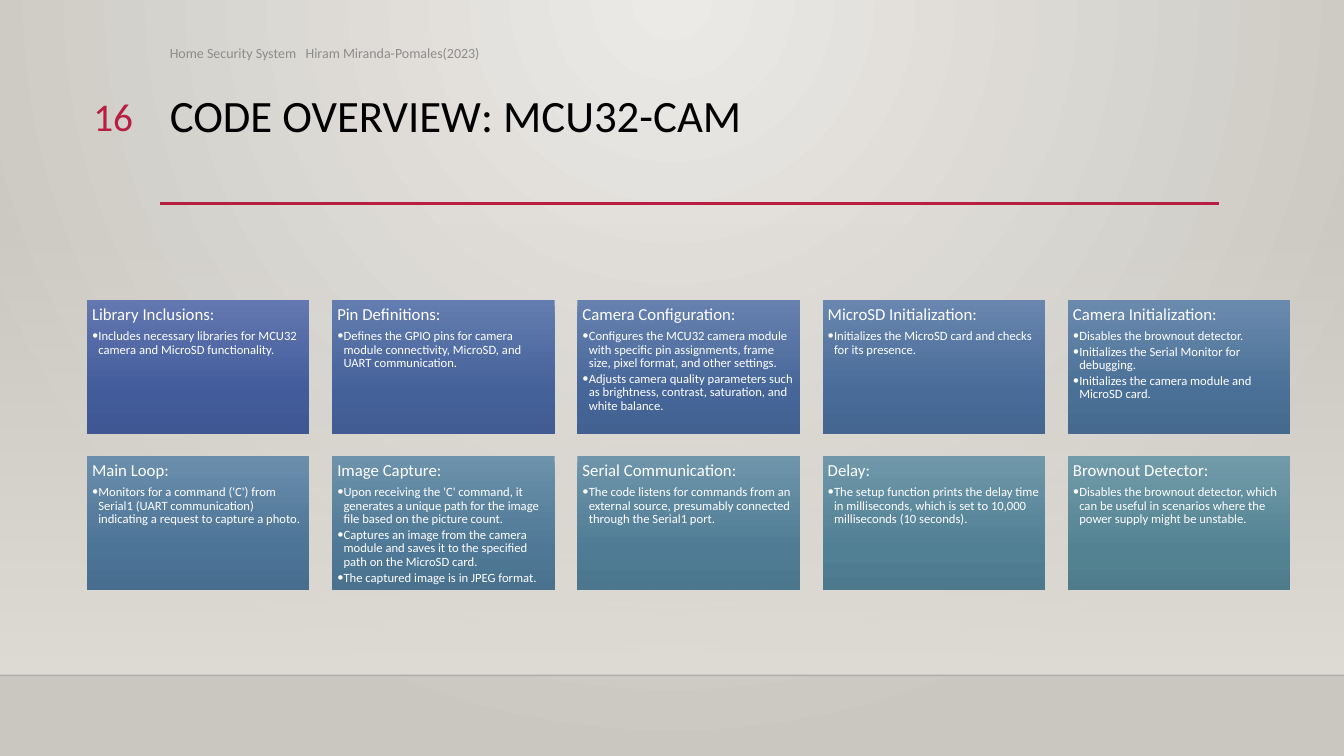
from pptx import Presentation
from pptx import util as u
from pptx.dml import color
from pptx.enum import shapes, text
from pptx.oxml import ns, parse_xml

COLORS = {
    "accent": "B71E42", "title": "000000", "footer": "8C8C8C", "card_text": "FFFFFF",
    "band": "DFDBD5", "floor": "000001", "center": "ECEAE7", "edge": "CAC7C1",
}
FONT = "Calibri"
DOWN = '<a:lin ang="5400000" scaled="0"/>'
RADIAL = ('<a:path path="circle">'
          '<a:fillToRect l="43000" t="0" r="43000" b="100000"/></a:path>')

COLUMNS = 5
CARD_LEFT, CARD_TOP = 2.19, 7.57
CARD_WIDTH, CARD_HEIGHT = 5.61, 3.38
COLUMN_STEP, ROW_STEP = 6.18, 3.93

# Heading, gradient colours from top to bottom, bullets
CARDS = [
    ("Library Inclusions:", ("6378B0", "425B9B", "3F5793"),
     ["Includes necessary libraries for MCU32 camera and MicroSD functionality."]),
    ("Pin Definitions:", ("647DAF", "44619A", "415C92"),
     ["Defines the GPIO pins for camera module connectivity, MicroSD, and UART communication."]),
    ("Camera Configuration:", ("6681AE", "466699", "426191"),
     ["Configures the MCU32 camera module with specific pin assignments, frame size, "
      "pixel format, and other settings.",
      "Adjusts camera quality parameters such as brightness, contrast, saturation, "
      "and white balance."]),
    ("MicroSD Initialization:", ("6886AE", "486B98", "446690"),
     ["Initializes the MicroSD card and checks for its presence."]),
    ("Camera Initialization:", ("6A8AAD", "4A7097", "466A8F"),
     ["Disables the brownout detector.",
      "Initializes the Serial Monitor for debugging.",
      "Initializes the camera module and MicroSD card."]),
    ("Main Loop:", ("6B8EAC", "4C7496", "486E8F"),
     ["Monitors for a command ('C') from Serial1 (UART communication) "
      "indicating a request to capture a photo."]),
    ("Image Capture:", ("6D92AB", "4E7895", "4A728E"),
     ["Upon receiving the 'C' command, it generates a unique path for the image file "
      "based on the picture count.",
      "Captures an image from the camera module and saves it to the specified path "
      "on the MicroSD card.",
      "The captured image is in JPEG format."]),
    ("Serial Communication:", ("6F95AB", "4F7C94", "4B768D"),
     ["The code listens for commands from an external source, presumably connected "
      "through the Serial1 port."]),
    ("Delay:", ("7098AA", "517F93", "4D798C"),
     ["The setup function prints the delay time in milliseconds, which is set to "
      "10,000 milliseconds (10 seconds)."]),
    ("Brownout Detector:", ("729BA9", "538393", "4F7C8B"),
     ["Disables the brownout detector, which can be useful in scenarios where the "
      "power supply might be unstable."]),
]


def apply_format(target, values):
    for name, value in values.items():
        setattr(target, name, value)


def append_xml(parent, xml):
    wrapper = parse_xml(f'<a:wrapper {ns.nsdecls("a")}>{xml}</a:wrapper>')
    for child in list(wrapper):
        parent.append(child)


def set_gradient(fill, owner, stops, direction):
    """Fill with stops of (position in percent, colour, opacity in percent)."""
    fill.gradient()
    gradient = next(owner.iter(ns.qn("a:gradFill")))
    for child in list(gradient):
        gradient.remove(child)
    stop_xml = "".join(
        f'<a:gs pos="{position * 1000}"><a:srgbClr val="{value}">'
        f'<a:alpha val="{opacity * 1000}"/></a:srgbClr></a:gs>'
        for position, value, opacity in stops)
    append_xml(gradient, f"<a:gsLst>{stop_xml}</a:gsLst>{direction}")


def add_gradient_box(slide, left, top, width, height, stops):
    shape = slide.shapes.add_shape(shapes.MSO_SHAPE.RECTANGLE, u.Cm(left), u.Cm(top),
                                   u.Cm(width), u.Cm(height))
    shape.shadow.inherit = False
    shape.line.fill.background()
    set_gradient(shape.fill, shape._element, stops, DOWN)
    return shape


def add_rule(slide, left, right, y, name, weight, opacity=100):
    rule = slide.shapes.add_connector(shapes.MSO_CONNECTOR.STRAIGHT,
                                      u.Cm(left), u.Cm(y), u.Cm(right), u.Cm(y))
    rule.line.color.rgb = color.RGBColor.from_string(COLORS[name])
    rule.line.width = u.Pt(weight)
    line_color = next(rule._element.iter(ns.qn("a:srgbClr")))
    append_xml(line_color, f'<a:alpha val="{opacity * 1000}"/>')
    append_xml(rule._element.spPr, "<a:effectLst/>")


def write_paragraph(paragraph, content, size, name, bullet=False, **layout):
    if bullet:
        properties = paragraph._p.get_or_add_pPr()
        properties.set("marL", str(u.Cm(0.16)))
        properties.set("indent", str(-u.Cm(0.16)))
        append_xml(properties, f'<a:buFont typeface="{FONT}"/><a:buChar char="•"/>')
    paragraph.text = content
    apply_format(paragraph, layout)
    apply_format(paragraph.font, {"name": FONT, "size": u.Pt(size)})
    paragraph.font.color.rgb = color.RGBColor.from_string(COLORS[name])


def add_label(slide, left, top, width, height, content, size, name,
              anchor=text.MSO_ANCHOR.TOP, **layout):
    box = slide.shapes.add_textbox(u.Cm(left), u.Cm(top), u.Cm(width), u.Cm(height))
    apply_format(box.text_frame, {"word_wrap": True, "vertical_anchor": anchor})
    write_paragraph(box.text_frame.paragraphs[0], content, size, name, **layout)


def add_card(slide, index, heading, gradient, bullets):
    row, column = divmod(index, COLUMNS)
    stops = [(position, value, 100) for position, value in zip((0, 69, 100), gradient)]
    card = add_gradient_box(slide, CARD_LEFT + column * COLUMN_STEP, CARD_TOP + row * ROW_STEP,
                            CARD_WIDTH, CARD_HEIGHT, stops)
    frame = card.text_frame
    margins = dict.fromkeys(("margin_left", "margin_top", "margin_right", "margin_bottom"),
                            u.Cm(0.13))
    apply_format(frame, {"word_wrap": True, "vertical_anchor": text.MSO_ANCHOR.TOP, **margins})
    layout = {"alignment": text.PP_ALIGN.LEFT, "line_spacing": 0.9}
    write_paragraph(frame.paragraphs[0], heading, 12, "card_text",
                    space_after=u.Pt(4.2), **layout)
    for bullet in bullets:
        write_paragraph(frame.add_paragraph(), bullet, 9, "card_text", bullet=True,
                        space_after=u.Pt(1.35), **layout)


def main():
    presentation = Presentation()
    apply_format(presentation, {"slide_width": u.Cm(33.87), "slide_height": u.Cm(19.05)})
    slide = presentation.slides.add_slide(presentation.slide_layouts[6])

    # Backdrop
    set_gradient(slide.background.fill, slide._element,
                 [(0, COLORS["center"], 100), (100, COLORS["edge"], 100)], RADIAL)
    add_gradient_box(slide, 0, 5.61, 33.87, 11.41,
                     [(0, COLORS["band"], 0), (100, COLORS["band"], 100)])
    add_rule(slide, 0, 33.87, 17.02, "floor", 1, opacity=20)

    # Header
    add_rule(slide, 4.03, 30.72, 5.13, "accent", 2.5)
    add_label(slide, 4.03, 2.24, 26.67, 2.92, "CODE OVERVIEW: MCU32-CAM", 32, "title",
              line_spacing=0.9)
    add_label(slide, 1.34, 2.21, 2.26, 1.4, "16", 28, "accent",
              alignment=text.PP_ALIGN.RIGHT)
    add_label(slide, 4.03, 0.91, 16.48, 0.86,
              "Home Security System   Hiram Miranda-Pomales(2023)", 10, "footer",
              anchor=text.MSO_ANCHOR.MIDDLE)

    # Cards
    for index, card in enumerate(CARDS):
        add_card(slide, index, *card)

    presentation.save("out.pptx")


if __name__ == "__main__":
    main()
